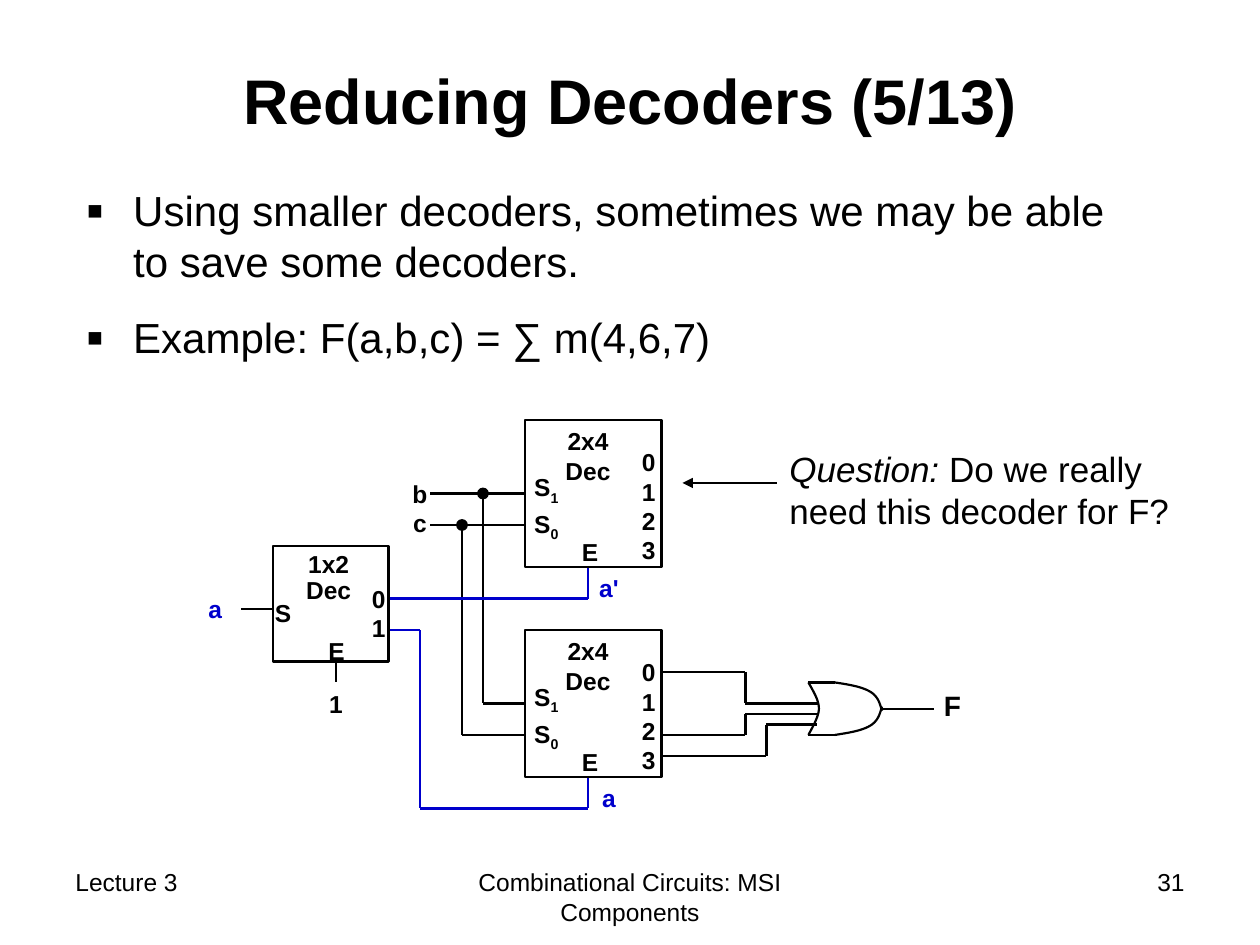
from itertools import pairwise

from lxml.etree import SubElement as Sub
from pptx import Presentation
from pptx.dml.color import RGBColor as Rgb
from pptx.enum.shapes import MSO_CONNECTOR as Conn, MSO_SHAPE as Kind
from pptx.enum.text import MSO_ANCHOR as Anchor, MSO_AUTO_SIZE as Fit, PP_ALIGN as Align
from pptx.oxml.ns import qn
from pptx.util import Cm, Pt

HUES = {"ink": "000000", "blue": "0000CC"}
FONT = "Arial"
ALIGN = {"l": Align.LEFT, "c": Align.CENTER, "r": Align.RIGHT}

# All places are in grid steps of a twelfth of an inch.
STEP = 2.54 / 12

TITLE = "Reducing Decoders (5/13)"
BODY = [
    "Using smaller decoders, sometimes we may be able to save some decoders.",
    "Example: F(a,b,c) = ∑ m(4,6,7)",
]
FOOT = [
    ((6, 82, 28, 6.2), "Lecture 3", "l"),
    ((41, 82, 38, 6.2), "Combinational Circuits: MSI Components", "c"),
    ((86, 82, 28, 6.2), "31", "r"),
]
ASK = [("Question:", "i"), (" Do we really need this decoder for F?", "")]

BIG_TOPS = [40, 60]
BIG = (50, 13, 14)      # left, width, height of a 2x4 decoder
SMALL = (26, 52, 11, 11)
# Parts of a 2x4 decoder, with tops measured from its own top edge
BIG_TEXT = [
    ((51, 0, 10, 6.8), ["2x4", "Dec"], "c", 0),
    ((49.7, 4.4, 5.5, 7.9), [[("S", "b"), (n, "bs")] for n in "10"], "l", 1.8),
    ((58.6, 2, 5, 12.5), list("0123"), "r", 0),
    ((54.2, 10.6, 4, 4.1), ["E"], "c", 0),
]
# place, lines, align, hue, line spacing
LABELS = [
    ((26.3, 52, 10, 6.2), ["1x2", "Dec"], "c", "ink", 0.9),
    ((25, 56.4, 5.6, 4.1), ["S"], "l", "ink", None),
    ((32.9, 55, 5, 6.8), ["0", "1"], "r", "ink", None),
    ((29.9, 60, 4.3, 4.1), ["E"], "c", "ink", None),
    ((29, 65, 6, 4.1), ["1"], "c", "ink", None),
    ((38, 45, 4, 6.8), ["b", "c"], "c", "ink", None),
    ((18, 56, 5, 4.1), ["a"], "c", "blue", None),
    ((55, 54, 6, 4.1), ["a'"], "c", "blue", None),
    ((55, 74, 6, 4.1), ["a"], "c", "blue", None),
]
# hue, line width, corner points
WIRES = [
    ("ink", 1.25, [(41, 47), (50, 47)]),
    ("ink", 1.25, [(41, 50), (50, 50)]),
    ("ink", 1.25, [(46, 47), (46, 67), (50, 67)]),
    ("ink", 1.25, [(44, 50), (44, 70), (50, 70)]),
    ("ink", 1.25, [(23, 58), (26, 58)]),
    ("ink", 0.75, [(32, 63), (32, 65)]),
    ("blue", 1.25, [(37, 57), (56, 57), (56, 54)]),
    ("blue", 1.25, [(37, 60), (40, 60), (40, 77), (56, 77), (56, 74)]),
    ("ink", 1.25, [(63, 64), (71, 64), (71, 67), (78, 67)]),
    ("ink", 1.25, [(63, 70), (71, 70), (71, 68), (77.8, 68)]),
    ("ink", 1.25, [(63, 72), (73, 72), (73, 69), (77.8, 69)]),
    ("ink", 1.25, [(77, 65), (79.5, 65)]),
    ("ink", 1.25, [(77, 70), (79.5, 70)]),
    ("ink", 1.25, [(84, 67.5), (89, 67.5)]),
]
DOTS = [(46, 47), (44, 50)]
MID = 67.5              # axis of the OR gate
BACK = [(77, 65), (77.5, 65.9), (78, 66.7), (78, 67.5),
        (78, 68.3), (77.2, 69.6), (77, 70)]
NOSE = [(79.5, 65), (80.8, 65.2), (82.1, 65.4), (82.9, 65.9),
        (83.7, 66.4), (83.8, 67.1), (84, 67.7)]


def at(*nums):
    return [Cm(n * STEP) for n in nums]


def hue(name):
    return Rgb.from_string(HUES[name])


def add_run(para, text, size, marks="", tint="ink"):
    """Marks: b bold, i italic, s subscript."""
    run = para.add_run()
    run.text = text
    font = run.font
    font.name, font.size = FONT, Pt(size)
    font.bold, font.italic = "b" in marks, "i" in marks
    font.color.rgb = hue(tint)
    if "s" in marks:
        font._element.set("baseline", "-25000")


def add_text(slide, place, lines, size, side="l", tint="ink", marks="b", gap=0, pitch=None):
    """Each line is a string, or a list of (text, marks) runs."""
    frame = slide.shapes.add_textbox(*at(*place)).text_frame
    frame.word_wrap = True
    for num, line in enumerate(lines):
        para = frame.add_paragraph() if num else frame.paragraphs[0]
        para.alignment = ALIGN[side]
        if pitch:
            para.line_spacing = pitch
        if num and gap:
            para.space_before = Pt(gap)
        for text, style in [(line, marks)] if isinstance(line, str) else line:
            add_run(para, text, size, style, tint)


def pen(shape, tint, width):
    shape.line.color.rgb = hue(tint)
    shape.line.width = Pt(width)


def add_wire(slide, tint, width, points):
    for start, end in pairwise(points):
        wire = slide.shapes.add_connector(Conn.STRAIGHT, *at(*start, *end))
        pen(wire, tint, width)
        Sub(wire._element.spPr, qn("a:effectLst"))
    return wire


def add_shape(slide, kind, place, width, fill=None):
    shape = slide.shapes.add_shape(kind, *at(*place))
    shape.shadow.inherit = False
    pen(shape, "ink", width)
    if fill:
        shape.fill.solid()
        shape.fill.fore_color.rgb = hue(fill)
    else:
        shape.fill.background()


def add_curve(slide, knots, parts=12):
    """Draw joined cubic Bezier arcs as a fine open outline."""
    points = [knots[0]]
    for first in range(0, len(knots) - 1, 3):
        arc = knots[first:first + 4]
        for num in range(1, parts + 1):
            t = num / parts
            mix = ((1 - t) ** 3, 3 * t * (1 - t) ** 2, 3 * t * t * (1 - t), t ** 3)
            points.append(tuple(sum(m * p[axis] for m, p in zip(mix, arc)) for axis in (0, 1)))
    points = [at(*point) for point in points]
    build = slide.shapes.build_freeform(*points[0])
    build.add_line_segments(points[1:], close=False)
    shape = build.convert_to_shape()
    shape.shadow.inherit = False
    shape.fill.background()
    pen(shape, "ink", 1.25)


def place_holder(shape, place, anchor):
    shape.left, shape.top, shape.width, shape.height = at(*place)
    frame = shape.text_frame
    frame.auto_size, frame.word_wrap = Fit.NONE, True
    frame.vertical_anchor = anchor
    return frame


def add_bullet(para):
    props = para._p.get_or_add_pPr()
    props.set("marL", str(Cm(0.95)))
    props.set("indent", str(-Cm(0.95)))
    Sub(Sub(props, qn("a:buClr")), qn("a:srgbClr"), val=HUES["ink"])
    Sub(props, qn("a:buSzPct"), val="120000")
    Sub(props, qn("a:buFont"), typeface=FONT)
    Sub(props, qn("a:buChar"), char="▪")


def main():
    deck = Presentation()
    deck.slide_width, deck.slide_height = at(120, 90)
    slide = deck.slides.add_slide(deck.slide_layouts[1])

    para = place_holder(slide.shapes.title, (9, 2, 102, 15), Anchor.MIDDLE).paragraphs[0]
    para.alignment = Align.CENTER
    add_run(para, TITLE, 36, "b")

    frame = place_holder(slide.placeholders[1], (7, 17, 101, 20), Anchor.TOP)
    for num, text in enumerate(BODY):
        para = frame.add_paragraph() if num else frame.paragraphs[0]
        add_bullet(para)
        para.space_before = Pt(15 if num else 0)
        add_run(para, text, 24)

    for place, text, side in FOOT:
        add_text(slide, place, [text], 14, side, marks="")

    for wire in WIRES:
        add_wire(slide, *wire)
    for x, y in DOTS:
        add_shape(slide, Kind.OVAL, (x - 0.5, y - 0.5, 1, 1), 0.75, "ink")

    add_curve(slide, BACK)
    add_curve(slide, NOSE)
    add_curve(slide, [(x, 2 * MID - y) for x, y in NOSE])
    add_text(slide, (88.7, 65, 4, 4.4), ["F"], 16)

    add_shape(slide, Kind.RECTANGLE, SMALL, 1.5)
    left, wide, high = BIG
    for top in BIG_TOPS:
        add_shape(slide, Kind.RECTANGLE, (left, top, wide, high), 1.5)
        for (x, y, w, h), lines, side, gap in BIG_TEXT:
            add_text(slide, (x, top + y, w, h), lines, 14, side, gap=gap)
    for place, lines, side, tint, pitch in LABELS:
        add_text(slide, place, lines, 14, side, tint, pitch=pitch)

    add_text(slide, (74, 42, 41, 9.2), [ASK], 20)
    arrow = add_wire(slide, "ink", 0.75, [(74, 46), (65, 46)])
    Sub(arrow.line._get_or_add_ln(), qn("a:tailEnd"), type="triangle")

    deck.save("out.pptx")


if __name__ == "__main__":
    main()
